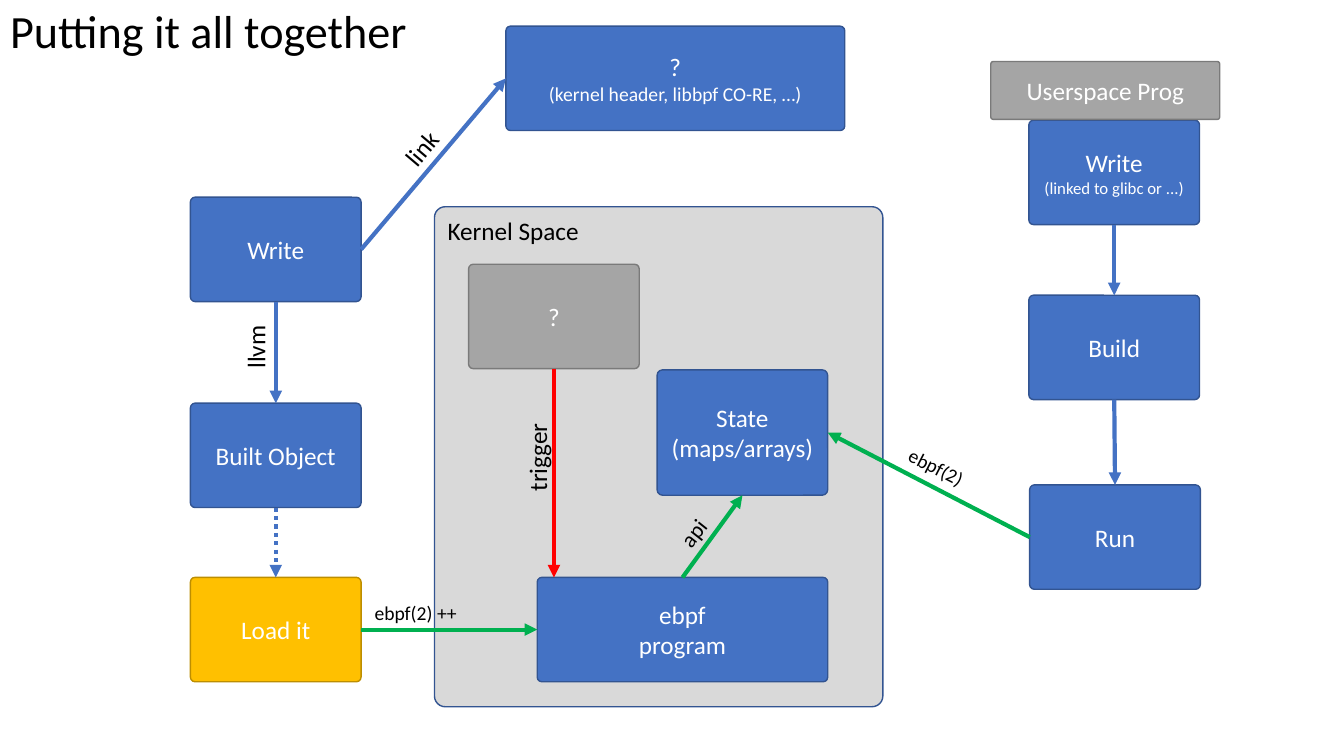
from lxml.etree import SubElement
from pptx import Presentation
from pptx.dml.color import RGBColor
from pptx.enum.dml import MSO_LINE
from pptx.enum.shapes import MSO_CONNECTOR, MSO_SHAPE
from pptx.enum.text import MSO_ANCHOR, MSO_AUTO_SIZE, PP_ALIGN
from pptx.oxml.ns import qn
from pptx.util import Cm, Pt

BLUE, NAVY = "4472C4", "325491"
GRAY, DARK_GRAY = "A5A5A5", "7A7A7A"
GOLD, DARK_GOLD = "FFC000", "BD8E00"
GREEN, RED = "00B050", "FF0000"
BLACK, WHITE, PALE = "000000", "FFFFFF", "D9D9D9"
TOP, LEFT, BOTTOM, RIGHT = range(4)
BOX_WIDTH, BOX_HEIGHT = 4.3, 2.63


def paint(color_format, color):
    """Set a fill or font colour from a hex string."""
    color_format.rgb = RGBColor.from_string(color)


def write(frame, text, size=18, note_size=None, color=WHITE, align=PP_ALIGN.CENTER,
          anchor=MSO_ANCHOR.MIDDLE, spacing=None):
    """Write paragraphs split at newlines and lines split at vertical tabs."""
    frame.vertical_anchor = anchor
    line_size = size
    for row, content in enumerate(text.split("\n")):
        para = frame.add_paragraph() if row else frame.paragraphs[0]
        para.alignment = align
        para.line_spacing = spacing
        for index, line in enumerate(content.split("\v")):
            if index:
                para.add_line_break()
            span = para.add_run()
            span.text = line
            span.font.name = "Calibri"
            span.font.size = Pt(line_size)
            paint(span.font.color, color)
            line_size = note_size or size


def add_box(page, text, left, top, width=BOX_WIDTH, height=BOX_HEIGHT, fill=BLUE,
            outline=NAVY, rounding=0.044, **text_format):
    """Add a rounded box with text and return it."""
    box = page.shapes.add_shape(MSO_SHAPE.ROUNDED_RECTANGLE,
                                Cm(left), Cm(top), Cm(width), Cm(height))
    box.adjustments[0] = rounding
    box.shadow.inherit = False
    box.fill.solid()
    paint(box.fill.fore_color, fill)
    paint(box.line.color, outline)
    box.line.width = Pt(1)
    box.text_frame.word_wrap = True
    write(box.text_frame, text, **text_format)
    return box


def add_label(page, text, left, top, width, height, size=18, rotation=0):
    """Add an unwrapped text label, turned by the given angle."""
    label = page.shapes.add_textbox(Cm(left), Cm(top), Cm(width), Cm(height))
    label.rotation = rotation
    label.text_frame.word_wrap = False
    label.text_frame.auto_size = MSO_AUTO_SIZE.SHAPE_TO_FIT_TEXT
    write(label.text_frame, text, size=size, color=BLACK, align=PP_ALIGN.LEFT,
          anchor=MSO_ANCHOR.TOP)


def add_arrow(page, start, start_side, end, end_side=None, color=BLUE, dash=None):
    """Add an arrow between boxes, or straight down to the end box's top edge."""
    arrow = page.shapes.add_connector(MSO_CONNECTOR.STRAIGHT, 0, 0, 0, 0)
    arrow.begin_connect(start, start_side)
    if end_side is None:
        arrow.end_x, arrow.end_y = arrow.begin_x, end.top
    else:
        arrow.end_connect(end, end_side)
    paint(arrow.line.color, color)
    arrow.line.width = Pt(3)
    if dash:
        arrow.line.dash_style = dash
    SubElement(arrow.line._get_or_add_ln(), qn("a:tailEnd"), type="triangle")
    SubElement(arrow._element.spPr, qn("a:effectLst"))


def add_title(page, text):
    """Place and format the title placeholder."""
    title = page.shapes.title
    title.left, title.top, title.width, title.height = Cm(0), Cm(0.25), Cm(29.21), Cm(1.37)
    write(title.text_frame, text, size=33, color=BLACK, align=PP_ALIGN.LEFT, spacing=0.7)


def main():
    """Build the slide and save the deck."""
    deck = Presentation()
    deck.slide_width, deck.slide_height = Cm(33.87), Cm(19.05)
    page = deck.slides.add_slide(deck.slide_layouts[5])
    add_title(page, "Putting it all together")

    add_box(page, "Kernel Space", 10.95, 5.21, 11.3, 12.6, fill=PALE, rounding=0.024,
            color=BLACK, align=PP_ALIGN.LEFT, anchor=MSO_ANCHOR.TOP)
    source = add_box(page, "Write", 4.8, 4.97)
    headers = add_box(page, "?\n(kernel header, libbpf CO-RE, …)", 12.75, 0.66, 8.54,
                      note_size=14)
    built = add_box(page, "Built Object", 4.8, 10.16)
    loader = add_box(page, "Load it", 4.8, 14.55, fill=GOLD, outline=DARK_GOLD)
    program = add_box(page, "ebpf\vprogram", 13.54, 14.55, 7.32)
    state = add_box(page, "State\v(maps/arrays)", 16.56, 9.32, height=3.16)
    user_source = add_box(page, "Write\v(linked to glibc or ...)", 25.93, 3.03, note_size=12)
    user_build = add_box(page, "Build", 25.93, 7.44)
    user_run = add_box(page, "Run", 25.95, 12.22)
    event = add_box(page, "?", 11.81, 6.66, fill=GRAY, outline=DARK_GRAY)
    add_box(page, "Userspace Prog", 24.97, 1.55, 5.77, 1.46, fill=GRAY, outline=DARK_GRAY)

    add_arrow(page, source, RIGHT, headers, LEFT)
    add_arrow(page, source, BOTTOM, built, TOP)
    add_arrow(page, built, BOTTOM, loader, TOP, dash=MSO_LINE.ROUND_DOT)
    add_arrow(page, loader, RIGHT, program, LEFT, color=GREEN)
    add_arrow(page, event, BOTTOM, program, color=RED)
    add_arrow(page, program, TOP, state, BOTTOM, color=GREEN)
    add_arrow(page, user_run, LEFT, state, RIGHT, color=GREEN)
    add_arrow(page, user_source, BOTTOM, user_build, TOP)
    add_arrow(page, user_build, BOTTOM, user_run, TOP)

    add_label(page, "link", 9.91, 3.23, 1.42, 1.02, rotation=310.3)
    add_label(page, "llvm", 5.64, 8.23, 1.6, 1.02, rotation=270)
    add_label(page, "trigger", 12.42, 11, 2.24, 1.02, rotation=270)
    add_label(page, "api", 16.87, 12.95, 1.22, 0.94, size=16, rotation=308.5)
    add_label(page, "ebpf(2) ++", 9.19, 15.01, 2.62, 0.86, size=14)
    add_label(page, "ebpf(2)", 22.61, 11.35, 1.98, 0.86, size=14, rotation=27.2)
    deck.save("out.pptx")


if __name__ == "__main__":
    main()
